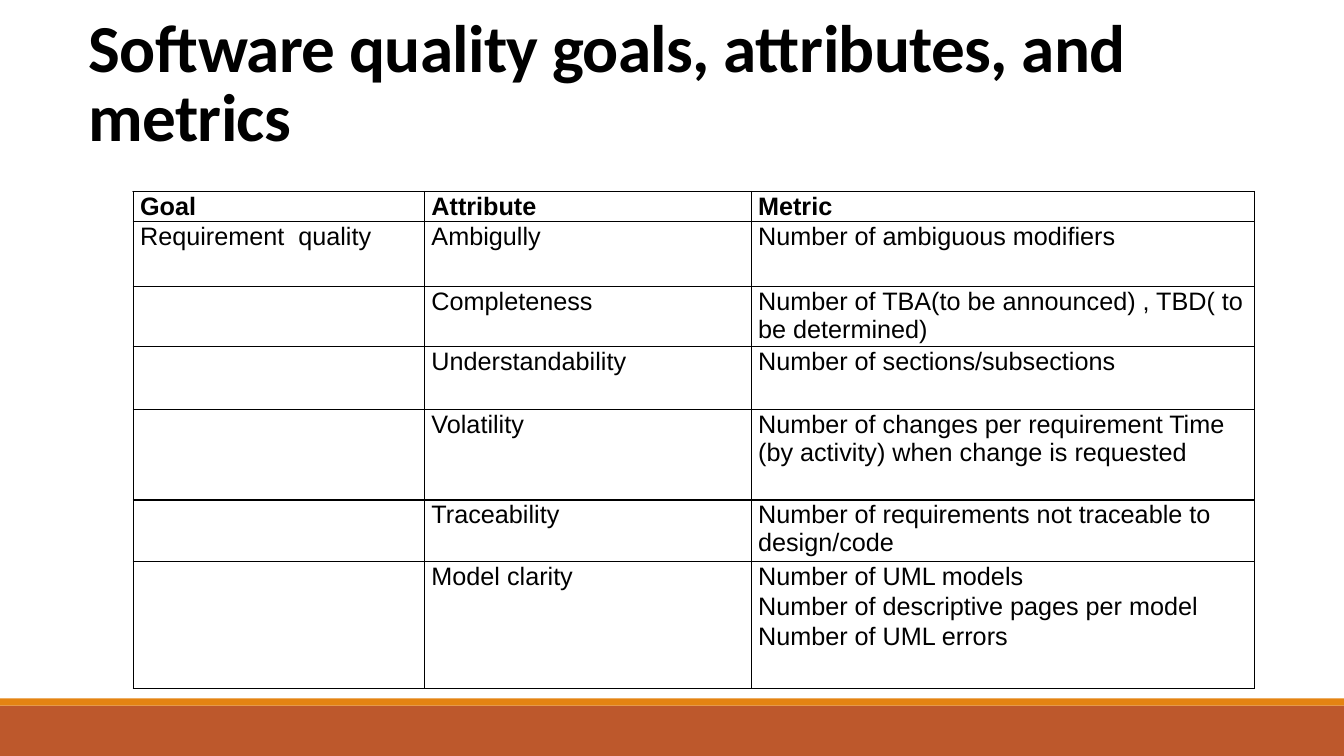
from lxml.etree import SubElement
from pptx import Presentation
from pptx.dml.color import RGBColor
from pptx.enum.shapes import MSO_CONNECTOR, MSO_SHAPE
from pptx.enum.text import MSO_ANCHOR, MSO_AUTO_SIZE, PP_ALIGN
from pptx.oxml import parse_xml
from pptx.oxml.ns import nsdecls, qn
from pptx.util import Inches, Pt


def color(value):
    return RGBColor.from_string(value)


def write(paragraph, text, font_name, size, bold):
    run = paragraph.add_run()
    run.text = text
    run.font.name = font_name
    run.font.size = Pt(size)
    run.font.bold = bold
    run.font.color.rgb = color("000000")
    return run


deck = Presentation()
deck.slide_width = Inches(13.33)
deck.slide_height = Inches(7.5)
slide = deck.slides.add_slide(deck.slide_layouts[5])

for top, height, fill in [(7, 0.5, "BD582C"), (6.93, 0.07, "E48312")]:
    footer_band = slide.shapes.add_shape(
        MSO_SHAPE.RECTANGLE, 0, Inches(top), deck.slide_width, Inches(height))
    footer_band.shadow.inherit = False
    footer_band.fill.solid()
    footer_band.fill.fore_color.rgb = color(fill)
    footer_band.line.fill.background()

title_rule = slide.shapes.add_connector(
    MSO_CONNECTOR.STRAIGHT, Inches(1.31), Inches(1.9), Inches(12.21), Inches(1.9))
title_rule.line.color.rgb = color("808080")
title_rule.line.width = Pt(0.5)
SubElement(title_rule._element.spPr, qn("a:effectLst"))

title = slide.shapes.title
title.left, title.top = Inches(0.78), Inches(0.69)
title.width, title.height = Inches(12.2), Inches(0.9)
title.text_frame.word_wrap = True
title.text_frame.auto_size = MSO_AUTO_SIZE.NONE
title.text_frame.vertical_anchor = MSO_ANCHOR.BOTTOM
heading = title.text_frame.paragraphs[0]
heading.alignment = PP_ALIGN.LEFT
heading.line_spacing = 0.85
heading_run = write(heading, "Software quality goals, attributes, and metrics", "Calibri", 48, True)
heading_run.font._element.set("spc", "-50")

goals = [
    ("Goal", "Attribute", ["Metric"]),
    ("Requirement  quality", "Ambigully", ["Number of ambiguous modifiers"]),
    ("", "Completeness", ["Number of TBA(to be announced) , TBD( to be determined)"]),
    ("", "Understandability", ["Number of sections/subsections"]),
    ("", "Volatility",
     ["Number of changes per requirement Time (by activity) when change is requested"]),
    ("", "Traceability", ["Number of requirements not traceable to design/code"]),
    ("", "Model clarity",
     ["Number of UML models", "Number of descriptive pages per model", "Number of UML errors"]),
]
column_widths = [2.89, 3.24, 4.99]
row_heights = [0.3, 0.64, 0.6, 0.62, 0.9, 0.61, 1.26]

metrics_table = slide.shapes.add_table(
    len(goals), len(column_widths), Inches(1.32), Inches(1.9),
    Inches(sum(column_widths)), Inches(sum(row_heights))).table
metrics_table.first_row = False
metrics_table.horz_banding = False
for column, width in zip(metrics_table.columns, column_widths):
    column.width = Inches(width)

for row, height, (goal, attribute, metrics) in zip(metrics_table.rows, row_heights, goals):
    row.height = Inches(height)
    for cell, entries in zip(row.cells, [[goal], [attribute], metrics]):
        cell.margin_left = cell.margin_right = Inches(0.07)
        cell.margin_top = Inches(0.01)
        cell.margin_bottom = 0
        for side in ["lnL", "lnR", "lnT", "lnB"]:
            cell._tc.get_or_add_tcPr().append(parse_xml(
                f'<a:{side} {nsdecls("a")} w="{Pt(1)}"><a:solidFill>'
                f'<a:srgbClr val="000000"/></a:solidFill></a:{side}>'))
        cell.fill.solid()
        cell.fill.fore_color.rgb = color("FFFFFF")
        for index, entry in enumerate(entries):
            if not entry:
                continue
            frame = cell.text_frame
            paragraph = frame.add_paragraph() if index else frame.paragraphs[0]
            if index:
                paragraph.space_before = Pt(1)
            paragraph.space_after = Pt(0.5)
            write(paragraph, entry, "Arial", 18, goal == "Goal")

deck.save("out.pptx")
